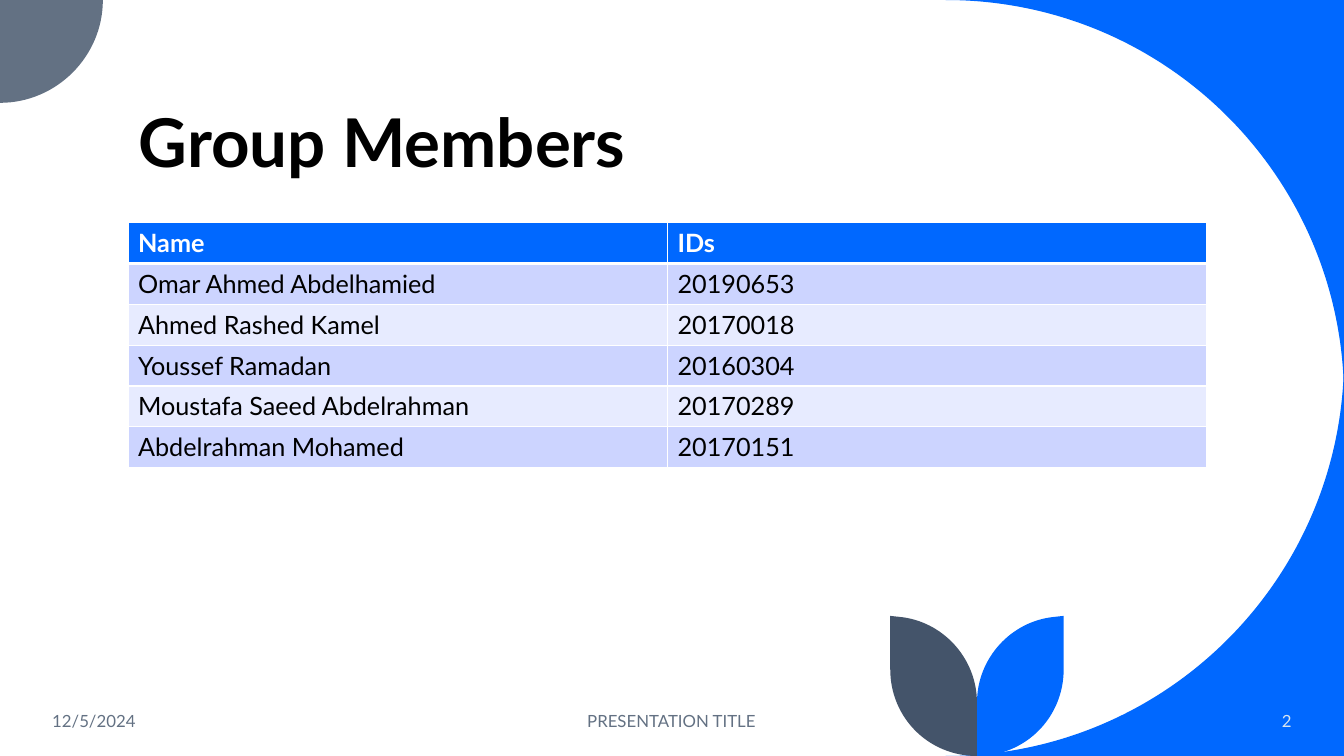
from dataclasses import dataclass
from lxml.etree import SubElement
from pptx import Presentation
from pptx.dml.color import RGBColor as RGB
from pptx.enum.text import MSO_ANCHOR as Anchor, PP_ALIGN as Align
from pptx.oxml.ns import qn
from pptx.util import Inches, Pt


@dataclass(frozen=True)
class Theme:
    font: str = "Lato"
    blue: str = "0068FF"
    gray: str = "637183"
    slate: str = "44546A"
    pale: str = "DAE5EF"
    white: str = "FFFFFF"
    black: str = "000000"
    bands: tuple = ("CCD4FF", "E7EBFF")
    title: int = 48
    body: int = 18
    small: int = 12


THEME = Theme()
WIDTH, HEIGHT = 13.33, 7.5

ROWS = [
    ("Name", "IDs"),
    ("Omar Ahmed Abdelhamied", "20190653"),
    ("Ahmed Rashed Kamel", "20170018"),
    ("Youssef Ramadan", "20160304"),
    ("Moustafa Saeed Abdelrahman", "20170289"),
    ("Abdelrahman Mohamed", "20170151"),
]

# Outlines: a pair is a straight step, six numbers are a cubic curve.
CORNER = [(WIDTH, 0), (9.38, 0), (11.57, 0, WIDTH, 1.77, WIDTH, 3.95)]
BADGE = [(0, 0), (1.02, 0), (1.02, 0.56, 0.56, 1.02, 0, 1.02)]
STEM = 9.69
LEAF = [(8.83, 6.11), (8.83, 6.64), (8.83, 7.12, 9.21, 7.5, STEM, 7.5),
        (STEM, 6.97), (STEM, 6.53, 9.35, 6.16, 8.92, 6.12)]


def flip(outline, axis, middle):
    """Mirror an outline; axis 0 swaps left and right, 1 top and bottom."""
    return [tuple(2 * middle - n if i % 2 == axis else n for i, n in enumerate(step))
            for step in outline]


def bend(shape, steps):
    """Turn the straight segments of a freeform into its cubic curves."""
    lines = list(shape._element.iter(qn("a:lnTo")))
    for line, step in zip(lines, steps):
        if len(step) == 2:
            continue
        line.tag = qn("a:cubicBezTo")
        for point in list(line):
            line.remove(point)
        for x, y in zip(step[::2], step[1::2]):
            SubElement(line, qn("a:pt"), x=str(Inches(x) - shape.left),
                       y=str(Inches(y) - shape.top))


def add_form(shapes, outline, color):
    first, *steps = outline
    pen = shapes.build_freeform(*map(Inches, first))
    pen.add_line_segments([tuple(map(Inches, step[-2:])) for step in steps], close=True)
    shape = pen.convert_to_shape()
    bend(shape, steps)
    shape.shadow.inherit = False
    shape.fill.solid()
    shape.fill.fore_color.rgb = RGB.from_string(color)
    shape.line.fill.background()


def add_run(para, text, size, color, bold=False):
    run = para.add_run()
    run.text = text
    font = run.font
    font.name, font.size, font.bold = THEME.font, Pt(size), bold
    font.color.rgb = RGB.from_string(color)


def add_text(slide, box, text, size, color, align=Align.LEFT,
             anchor=Anchor.MIDDLE, bold=False):
    frame = slide.shapes.add_textbox(*map(Inches, box)).text_frame
    frame.word_wrap = True
    frame.vertical_anchor = anchor
    para = frame.paragraphs[0]
    para.alignment = align
    add_run(para, text, size, color, bold)
    return para


def add_edges(cell, top, bottom):
    """Draw white cell borders; top and bottom are widths in points."""
    props = cell._tc.get_or_add_tcPr()
    widths = {"lnL": 1, "lnR": 1, "lnT": top, "lnB": bottom}
    for i, (side, width) in enumerate(widths.items()):
        line = SubElement(props, qn(f"a:{side}"), w=str(Pt(width)))
        fill = SubElement(line, qn("a:solidFill"))
        SubElement(fill, qn("a:srgbClr"), val=THEME.white)
        props.insert(i, line)


def add_grid(slide, left, top, width, height):
    frame = slide.shapes.add_table(len(ROWS), len(ROWS[0]), Inches(left),
                                   Inches(top), Inches(width), Inches(height))
    for r, row in enumerate(ROWS):
        head = r == 0
        for c, text in enumerate(row):
            cell = frame.table.cell(r, c)
            cell.fill.solid()
            fill = THEME.blue if head else THEME.bands[(r - 1) % 2]
            cell.fill.fore_color.rgb = RGB.from_string(fill)
            add_edges(cell, 3 if r == 1 else 1, 3 if head else 1)
            add_run(cell.text_frame.paragraphs[0], text, THEME.body,
                    THEME.white if head else THEME.black, head)


def add_decor(slide):
    shapes = slide.shapes
    add_form(shapes, CORNER, THEME.blue)
    add_form(shapes, flip(CORNER, 1, HEIGHT / 2), THEME.blue)
    add_form(shapes, BADGE, THEME.gray)
    plant = shapes.add_group_shape().shapes
    add_form(plant, flip(LEAF, 0, STEM), THEME.blue)
    add_form(plant, LEAF, THEME.slate)


def add_footer(slide):
    top, height = 6.95, 0.4
    for left, width, text, color, align in (
        (0.42, 3, "12/5/2024", THEME.gray, Align.LEFT),
        (4.41, 4.5, "PRESENTATION TITLE", THEME.gray, Align.CENTER),
        (11.1, 1.81, "2", THEME.pale, Align.RIGHT),
    ):
        add_text(slide, (left, top, width, height), text, THEME.small, color, align)


def main():
    deck = Presentation()
    deck.slide_width, deck.slide_height = Inches(WIDTH), Inches(HEIGHT)
    slide = deck.slides.add_slide(deck.slide_layouts[6])
    add_decor(slide)
    title = add_text(slide, (1.28, 0.41, 10.69, 1.45), "Group Members", THEME.title,
                     THEME.black, anchor=Anchor.BOTTOM, bold=True)
    title.line_spacing = 0.9
    add_grid(slide, 1.27, 2.21, 10.7, 2.43)
    add_footer(slide)
    deck.save("out.pptx")


if __name__ == "__main__":
    main()
